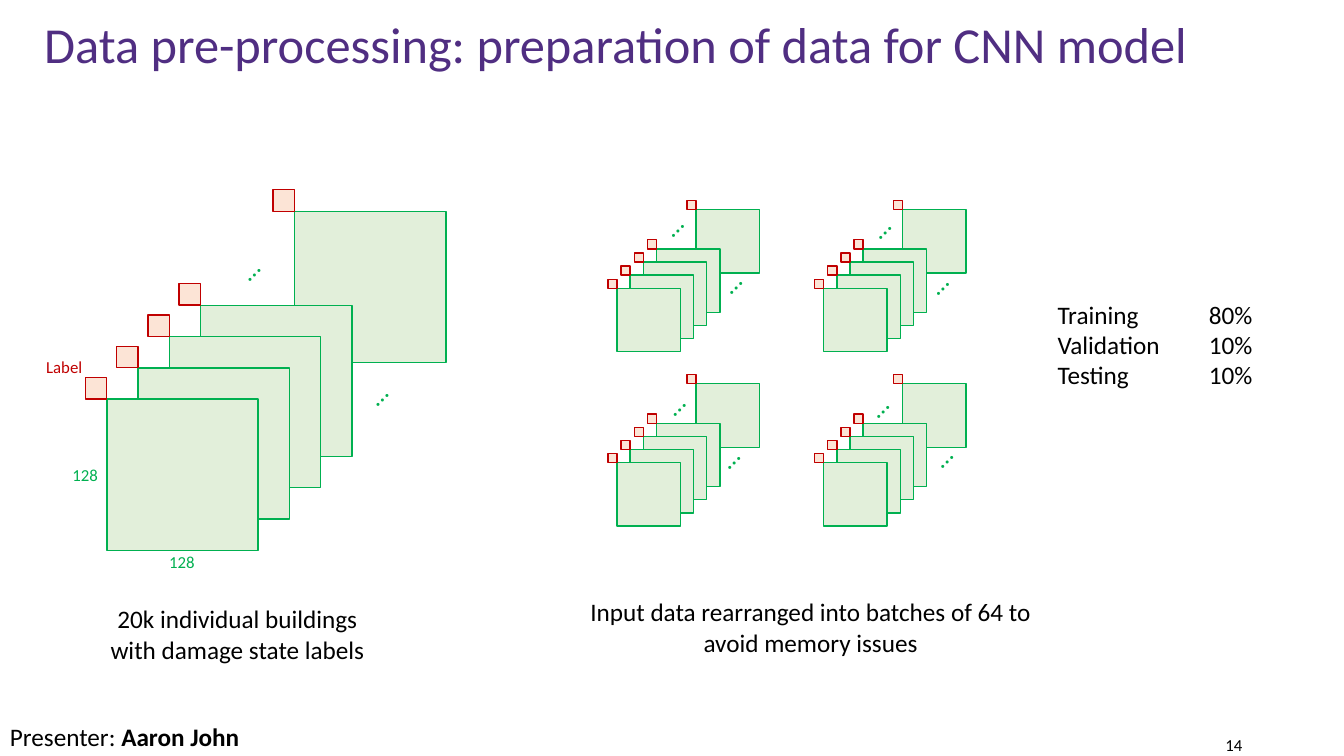
from lxml.etree import SubElement
from pptx import Presentation
from pptx.dml.color import RGBColor
from pptx.enum.shapes import MSO_SHAPE
from pptx.enum.text import MSO_ANCHOR, MSO_AUTO_SIZE, PP_ALIGN
from pptx.oxml.ns import qn
from pptx.util import Inches, Pt

deck = Presentation()
deck.slide_width, deck.slide_height = Inches(13.33), Inches(7.5)
page = deck.slides.add_slide(deck.slide_layouts[6])
cell = deck.slide_height / 75

GREEN, RED, BLACK, PURPLE = "00B050", "C00000", "000000", "502E82"
PALE_GREEN, PALE_RED = "E2EFDA", "FCE4D6"


def add_text(parent, place, lines, size=18, colour=BLACK, align=PP_ALIGN.LEFT, wrap=True, tab=None):
    box = parent.shapes.add_textbox(*(round(length * cell) for length in place))
    frame = box.text_frame
    frame.word_wrap = wrap
    frame.auto_size = MSO_AUTO_SIZE.SHAPE_TO_FIT_TEXT
    frame.text = lines
    for para in frame.paragraphs:
        para.alignment = align
        if tab:
            stops = SubElement(para._p.get_or_add_pPr(), qn("a:tabLst"))
            SubElement(stops, qn("a:tab"), pos=str(round(tab * cell)), algn="l")
        para.font.name = "Calibri"
        para.font.size = Pt(size)
        para.font.color.rgb = RGBColor.from_string(colour)
    return box


def add_stack(group, left, top, side):
    tag = side / 7
    for step in (6, 3, 2, 1, 0):
        shift = step * side * 0.207
        x, y = left + shift, top - shift
        for place, fill, line in (
            ((x, y, side, side), PALE_GREEN, GREEN),
            ((x - tag, y - tag, tag, tag), PALE_RED, RED),
        ):
            square = group.shapes.add_shape(MSO_SHAPE.RECTANGLE, *(round(length * cell) for length in place))
            square.shadow.inherit = False
            square.fill.solid()
            square.fill.fore_color.rgb = RGBColor.from_string(fill)
            square.line.color.rgb = RGBColor.from_string(line)
            square.line.width = Pt(1)


title = add_text(page, (3.4, 1.9, 126.6, 5.6), "Data pre-processing: preparation of data for CNN model", 36, PURPLE)
title.text_frame.paragraphs[0].line_spacing = 0.9
number = add_text(page, (94.2, 72.7, 30, 2.3), "14", 12, align=PP_ALIGN.RIGHT)
for box in (title, number):
    box.text_frame.auto_size = MSO_AUTO_SIZE.NONE
    box.text_frame.vertical_anchor = MSO_ANCHOR.MIDDLE

buildings = page.shapes.add_group_shape()
add_stack(buildings, 10.6, 39.6, 15)
for place, label, colour in (
    ((15.8, 54.2, 4.6, 3), "128", GREEN),
    ((6.2, 45.6, 4.6, 3), "128", GREEN),
    ((3.6, 34.9, 5.6, 3), "Label", RED),
):
    add_text(buildings, place, label, 12, colour, wrap=False)

batches = page.shapes.add_group_shape()
for column in range(2):
    for row in range(2):
        add_stack(batches, 61.2 + column * 20.5, 28.6 + row * 17.3, 6.3)

for group, left, top, width, wrap in (
    (buildings, 22.7, 24.5, 4.3, False),
    (buildings, 35.4, 36.9, 4.3, False),
    (batches, 65, 20.8, 2.3, True),
    (batches, 70.6, 26.1, 3.5, True),
    (batches, 65, 38.2, 3.5, True),
    (batches, 70.4, 43.4, 3.6, True),
    (batches, 85.5, 20.9, 2.7, True),
    (batches, 91.1, 26.1, 3.6, True),
    (batches, 85.1, 38.2, 4.1, True),
    (batches, 91.5, 43.2, 3.8, True),
):
    dots = add_text(group, (left, top, width, 4), "…", colour=GREEN, wrap=wrap)
    dots.rotation = 315

add_text(page, (8.4, 59.4, 30.3, 7.1), "20k individual buildings with damage state labels", align=PP_ALIGN.CENTER)
add_text(page, (56.7, 58.7, 47.4, 7.1), "Input data rearranged into batches of 64 to avoid memory issues",
         align=PP_ALIGN.CENTER)
add_text(page, (103.9, 29.2, 23.2, 10.1), "Training\t80%\nValidation\t10%\nTesting\t10%", tab=15)

presenter = add_text(page, (0, 71.1, 28.8, 4), "Presenter: ")
span = presenter.text_frame.paragraphs[0].add_run()
span.text = "Aaron John"
span.font.bold = True

deck.save("out.pptx")
